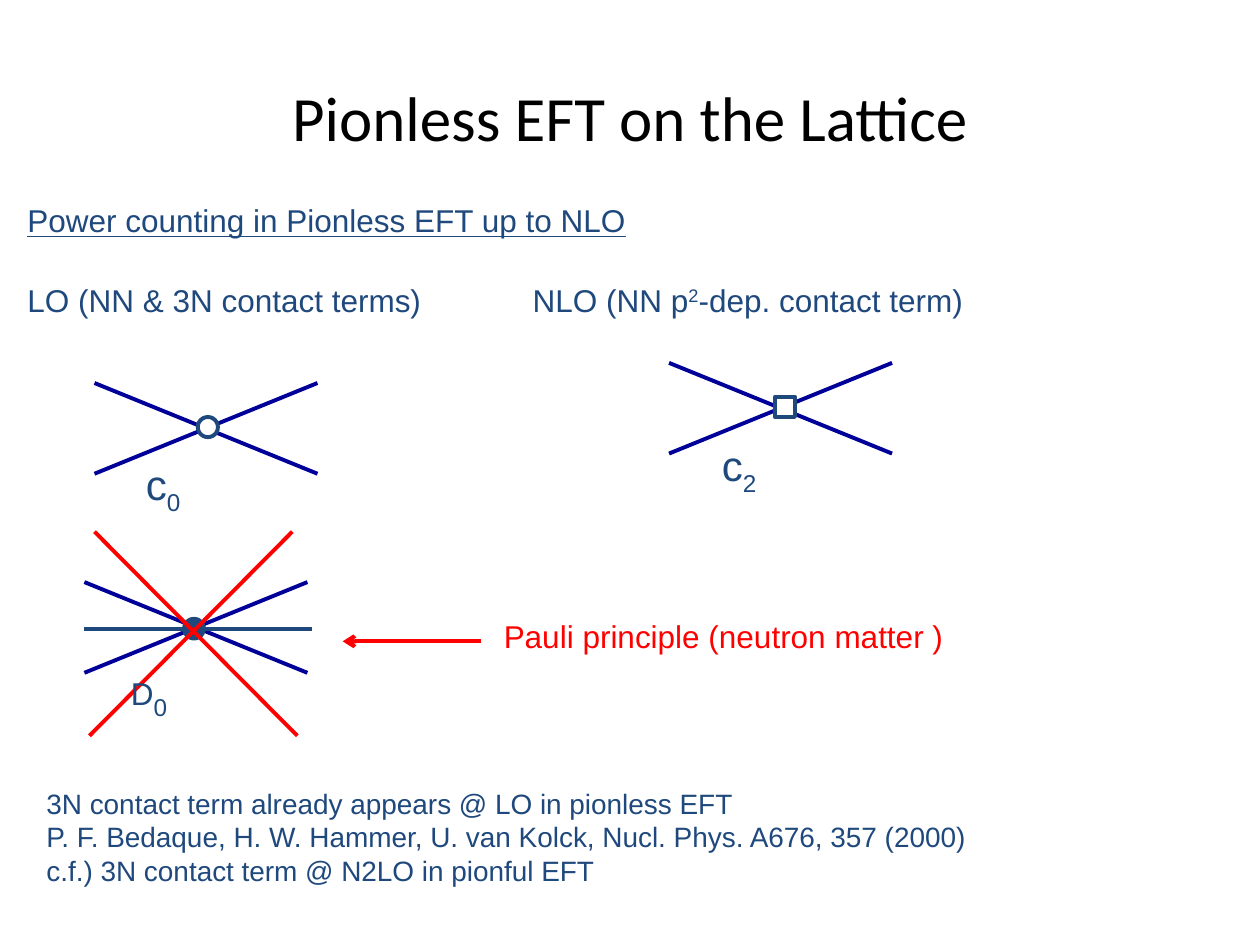
import pptx
import pptx.util
import pptx.dml.color
import pptx.enum.shapes
import pptx.enum.text
import pptx.oxml.ns
from lxml import etree

Inches = pptx.util.Inches
Pt = pptx.util.Pt
SHAPES = pptx.enum.shapes.MSO_SHAPE

COLORS = {"blue": "1F497D", "navy": "000099", "red": "FF0000",
          "white": "FFFFFF", "black": "000000"}

TITLE = "Pionless EFT on the Lattice"

# Place, then paragraphs of runs: (text, size, baseline shift in percent)
TEXTS = [
    ((0.12, 1.55, 5.04, 0.47), {"color": "blue", "underline": True},
     [[("Power counting in Pionless EFT up to NLO", 18, 0)]]),
    ((0.12, 2.18, 5.04, 0.47), {"color": "blue"},
     [[("LO (NN & 3N contact terms)", 18, 0)]]),
    ((4.13, 2.18, 5.04, 0.47), {"color": "blue"},
     [[("NLO (NN p", 18, 0), ("2", 18, 30), ("-dep. contact term)", 18, 0)]]),
    ((1.06, 3.59, 1.22, 0.56), {"color": "blue"},
     [[("c", 24, 0), ("0", 24, -25)]]),
    ((5.63, 3.44, 1.22, 0.56), {"color": "blue"},
     [[("c", 24, 0), ("2", 24, -25)]]),
    ((0.94, 5.22, 1.24, 0.56), {"color": "blue"},
     [[("D", 18, 0), ("0", 24, -25)]]),
    ((3.9, 4.85, 3.94, 0.47), {"color": "red"},
     [[("Pauli principle (neutron matter )", 18, 0)]]),
    ((0.27, 6.19, 7.87, 1.02), {"color": "blue"},
     [[("3N contact term already appears @ LO in pionless EFT", 16, 0)],
      [("P. F. Bedaque, H. W. Hammer, U. van Kolck, Nucl. Phys. A676, 357 (2000)", 16, 0)],
      [("c.f.) 3N contact term @ N2LO in pionful EFT", 16, 0)]]),
]

# Contact diagrams: corner of the crossed legs, vertex place and look
LEGS = (1.77, 0.72)
VERTEX = 0.16
DIAGRAMS = [
    {"corner": (0.75, 3.04), "vertex": (1.57, 3.31), "shape": SHAPES.OVAL,
     "fill": "white", "width": 2.25, "middle": None},
    {"corner": (5.31, 2.88), "vertex": (6.15, 3.15), "shape": SHAPES.RECTANGLE,
     "fill": "white", "width": 2.25, "middle": None},
    {"corner": (0.67, 4.62), "vertex": (1.46, 4.91), "shape": SHAPES.OVAL,
     "fill": "blue", "width": 2, "middle": ((0.67, 4.99), (2.48, 4.99))},
]
STRIKE_LINES = [((0.75, 4.22), (2.36, 5.84)), ((0.71, 5.84), (2.32, 4.22))]
PAULI_ARROW = ((3.82, 5.09), (2.72, 5.09))


def rgb(name):
    return pptx.dml.color.RGBColor.from_string(COLORS[name])


def add_line(shapes, ends, color):
    start, end = ends
    line = shapes.add_connector(pptx.enum.shapes.MSO_CONNECTOR.STRAIGHT,
                                *map(Inches, start + end))
    line.line.color.rgb = rgb(color)
    line.line.width = Pt(2.25)
    etree.SubElement(line._element.spPr, pptx.oxml.ns.qn("a:effectLst"))
    return line


def add_diagram(page, diagram):
    shapes = page.shapes.add_group_shape().shapes
    left, top = diagram["corner"]
    right, bottom = left + LEGS[0], top + LEGS[1]
    add_line(shapes, ((left, bottom), (right, top)), "navy")
    add_line(shapes, ((left, top), (right, bottom)), "navy")
    if diagram["middle"]:
        add_line(shapes, diagram["middle"], "blue")
    vertex = shapes.add_shape(diagram["shape"], *map(Inches, diagram["vertex"]),
                              Inches(VERTEX), Inches(VERTEX))
    vertex.shadow.inherit = False
    vertex.fill.solid()
    vertex.fill.fore_color.rgb = rgb(diagram["fill"])
    vertex.line.color.rgb = rgb("blue")
    vertex.line.width = Pt(diagram["width"])


def add_text(page, place, look, paragraphs):
    frame = page.shapes.add_textbox(*map(Inches, place)).text_frame
    frame.word_wrap = True
    for index, runs in enumerate(paragraphs):
        para = frame.add_paragraph() if index else frame.paragraphs[0]
        for text, size, shift in runs:
            span = para.add_run()
            span.text = text
            style = {"name": "Arial", "size": Pt(size),
                     "underline": look.get("underline")}
            for name, value in style.items():
                setattr(span.font, name, value)
            span.font.color.rgb = rgb(look["color"])
            if shift:
                span.font._element.set("baseline", str(shift * 1000))


def main():
    deck = pptx.Presentation()
    deck.slide_width, deck.slide_height = Inches(10), Inches(7.5)
    page = deck.slides.add_slide(deck.slide_layouts[5])

    # Title
    title = page.shapes.title
    place = {"left": 0.5, "top": 0.3, "width": 9, "height": 1.25}
    for name, value in place.items():
        setattr(title, name, Inches(value))
    title.text_frame.text = TITLE
    title.text_frame.vertical_anchor = pptx.enum.text.MSO_ANCHOR.MIDDLE
    para = title.text_frame.paragraphs[0]
    para.alignment = pptx.enum.text.PP_ALIGN.CENTER
    font = para.runs[0].font
    for name, value in {"name": "Calibri", "size": Pt(36)}.items():
        setattr(font, name, value)
    font.color.rgb = rgb("black")

    # Contact diagrams
    for diagram in DIAGRAMS:
        add_diagram(page, diagram)

    # Three-nucleon term struck out, with the arrow to it
    strike = page.shapes.add_group_shape().shapes
    for ends in STRIKE_LINES:
        add_line(strike, ends, "red")
    arrow = add_line(page.shapes, PAULI_ARROW, "red")
    etree.SubElement(arrow.line._get_or_add_ln(),
                     pptx.oxml.ns.qn("a:tailEnd"), type="arrow")

    # Headings, labels and remarks
    for place, look, paragraphs in TEXTS:
        add_text(page, place, look, paragraphs)

    deck.save("out.pptx")


if __name__ == "__main__":
    main()
